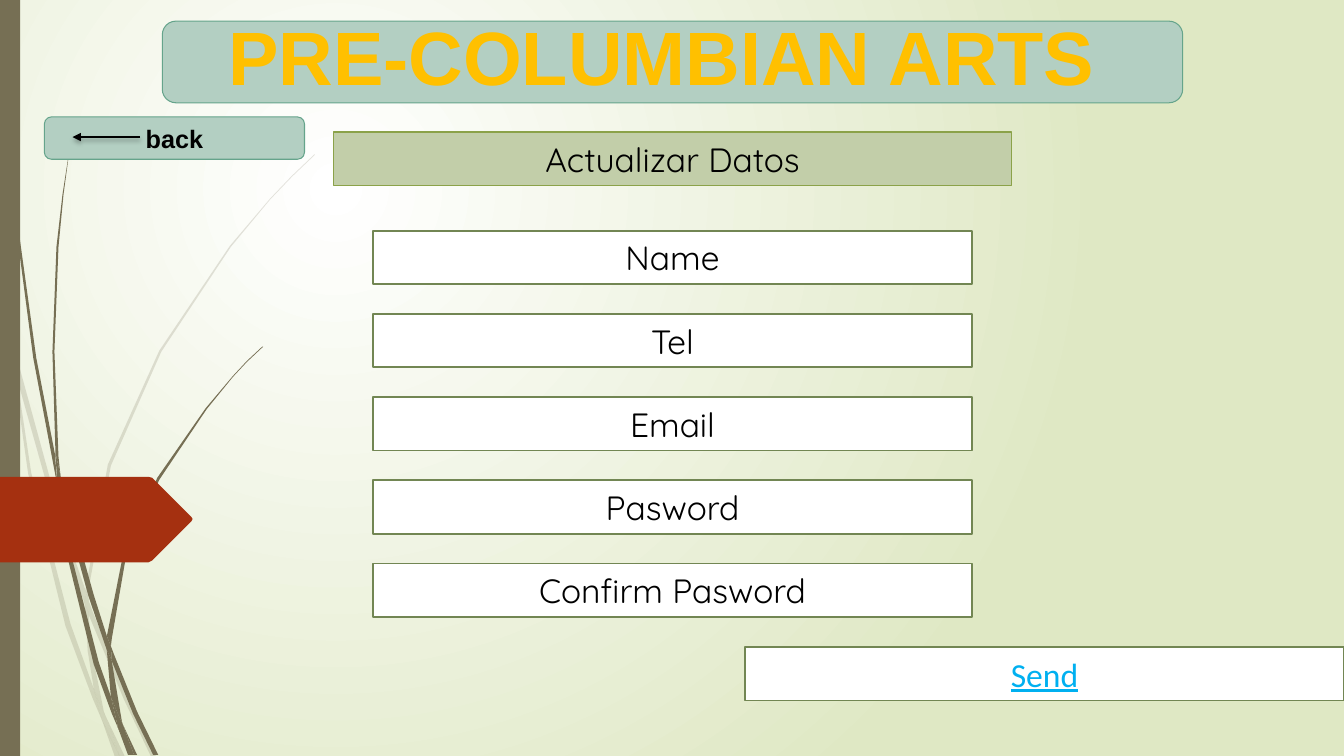
from lxml.etree import SubElement as Sub
from pptx import Presentation
from pptx.dml.color import RGBColor as RGB
from pptx.enum.shapes import MSO_CONNECTOR as LINK, MSO_SHAPE as SHAPE
from pptx.enum.text import MSO_ANCHOR as ANCHOR, PP_ALIGN as ALIGN
from pptx.oxml.ns import qn
from pptx.util import Inches, Pt

WHITE = RGB(0xFF, 0xFF, 0xFF)
BLACK = RGB(0, 0, 0)
PALE = RGB(0xDF, 0xE8, 0xC4)
BROWN = RGB(0x76, 0x6F, 0x54)
RUST = RGB(0xA5, 0x30, 0x10)
MINT = RGB(0xB3, 0xCF, 0xC2)
TEAL = RGB(0x65, 0xA4, 0x8B)
SAGE = RGB(0xC2, 0xCE, 0xA9)
OLIVE = RGB(0x8B, 0xA2, 0x49)
MOSS = RGB(0x72, 0x86, 0x53)
GOLD = RGB(0xFF, 0xC0, 0x00)
SKY = RGB(0x00, 0xB0, 0xF0)

FAINT = [
    [(.11, 3.5), (.09, 3.22), (0, 2.82), (0, 2.99), (.1, 3.44)],
    [(.58, 5.22), (.84, 5.99), (.85, 5.86), (.62, 5.2), (.14, 3.45),
     (.17, 3.76)],
    [(.92, 6.07), (.88, 5.96), (.88, 6.1), (1.23, 6.94), (1.5, 7.51),
     (1.55, 7.51), (1.27, 6.92)],
    [(1.19, 7.51), (1.24, 7.51), (1.05, 7.11)],
    [(.93, 6.83), (.7, 6.19), (.31, 4.69), (.17, 3.76), (.11, 3.5),
     (.28, 4.7), (.65, 6.21), (.92, 6.93), (1.01, 7.14), (.99, 7.07)],
    [(.84, 5.99), (.87, 6.46), (.93, 6.83), (.96, 6.92), (1.05, 7.11),
     (1.03, 7.06), (.91, 6.46), (.88, 6.1), (.88, 6.08)],
    [(.88, 5.84), (1.1, 4.62), (1.6, 3.49), (2.29, 2.45), (2.68, 1.98),
     (2.9, 1.75), (3.12, 1.54), (3.12, 1.53), (2.89, 1.75), (2.68, 1.97),
     (2.28, 2.44), (1.58, 3.48), (1.07, 4.61), (.85, 5.84), (.85, 5.86),
     (.88, 5.96)],
    [(1.01, 7.14), (1.14, 7.51), (1.19, 7.51)],
    [(.88, 6.08), (.88, 6.1), (.88, 5.96), (.85, 5.86), (.84, 5.99)],
    [(.96, 6.92), (.93, 6.83), (.99, 7.07), (1.01, 7.14), (1.19, 7.51),
     (1.05, 7.11)],
]
DARK = [
    [(.07, 1.1), (.17, 2.33), (.33, 3.55), (.56, 4.77), (.57, 4.81),
     (.55, 4.57), (.55, 4.53), (.36, 3.55), (.19, 2.32), (.08, 1.09),
     (.05, .48), (.04, 0), (.03, 0), (.04, .48)],
    [(.88, 5.92), (1.06, 6.45), (1.06, 6.33), (1.06, 6.31), (.93, 5.9),
     (.6, 4.72), (.64, 5.05)],
    [(1.13, 6.49), (1.1, 6.41), (1.11, 6.56), (1.32, 7.08), (1.52, 7.49),
     (1.57, 7.49), (1.36, 7.06)],
    [(1.1, 6.91), (.98, 6.57), (.72, 5.56), (.64, 5.05), (.57, 4.77),
     (.68, 5.57), (.93, 6.59), (1.11, 7.08), (1.17, 7.22), (1.16, 7.17)],
    [(.6, 4.72), (.58, 4.53), (.54, 3.49), (.58, 2.45), (.63, 1.93),
     (.7, 1.41), (.62, 1.93), (.56, 2.45), (.52, 3.49), (.55, 4.49)],
    [(1.33, 7.49), (1.36, 7.49), (1.22, 7.19)],
    [(.57, 4.77), (.64, 5.05), (.6, 4.72), (.55, 4.49), (.55, 4.53)],
    [(1.11, 6.33), (1.25, 5.52), (1.58, 4.76), (2.05, 4.06), (2.31, 3.74),
     (2.45, 3.59), (2.61, 3.44), (2.6, 3.44), (2.45, 3.58), (2.31, 3.73),
     (2.04, 4.05), (1.56, 4.74), (1.22, 5.51), (1.06, 6.31), (1.1, 6.41)],
    [(1.17, 7.22), (1.27, 7.49), (1.31, 7.49)],
    [(1.06, 6.45), (1.1, 6.91), (1.16, 7.06), (1.22, 7.19), (1.21, 7.16),
     (1.11, 6.56), (1.09, 6.51)],
    [(1.06, 6.45), (1.09, 6.51), (1.11, 6.56), (1.1, 6.41), (1.06, 6.31)],
    [(1.16, 7.06), (1.1, 6.91), (1.16, 7.17), (1.17, 7.22), (1.3, 7.49),
     (1.33, 7.49), (1.22, 7.19)],
]
TAB = [(0, 0), (1.47, 0), (1.51, .01), (1.9, .4), (1.91, .42), (1.9, .44),
       (1.51, .83), (1.47, .85), (0, .85)]
FIELDS = ["Name", "Tel", "Email", "Pasword", "Confirm Pasword"]


def paint(shape, fill, line=None, width=0.75):
    shape.shadow.inherit = False
    shape.fill.solid()
    shape.fill.fore_color.rgb = fill
    if line is None:
        shape.line.fill.background()
    else:
        shape.line.color.rgb = line
        shape.line.width = Pt(width)


def write(shape, text, size, font, color, bold=False, under=False):
    frame = shape.text_frame
    frame.word_wrap = True
    frame.vertical_anchor = ANCHOR.MIDDLE
    para = frame.paragraphs[0]
    para.alignment = ALIGN.CENTER
    run = para.add_run()
    run.text = text
    run.font.size = Pt(size)
    run.font.name = font
    run.font.color.rgb = color
    run.font.bold = bold
    run.font.underline = under
    return frame


def panel(slide, box, fill, line=None, width=0.75, kind=SHAPE.RECTANGLE):
    shape = slide.shapes.add_shape(kind, *map(Inches, box))
    paint(shape, fill, line, width)
    return shape


def outline(slide, left, top, points, fill, alpha=None):
    spots = [(Inches(left + x), Inches(top + y)) for x, y in points]
    form = slide.shapes.build_freeform(*spots[0], scale=1.0)
    form.add_line_segments(spots[1:], close=True)
    shape = form.convert_to_shape()
    paint(shape, fill)
    if alpha:
        tint = shape.fill._xPr.find(".//" + qn("a:srgbClr"))
        Sub(tint, qn("a:alpha"), val=str(alpha * 1000))


def backdrop(slide):
    fill = slide.background.fill
    fill.gradient()
    for stop, color in zip(fill.gradient_stops, (WHITE, PALE)):
        stop.color.rgb = color
    grad = slide.element.find(".//" + qn("a:gradFill"))
    grad.remove(grad.find(qn("a:lin")))
    way = Sub(grad, qn("a:path"), path="circle")
    Sub(way, qn("a:fillToRect"), l="50000", t="50000", r="100000", b="100000")


def margin(slide, left, top, high):
    for blade in FAINT:
        outline(slide, left, top, blade, BROWN, 20)
    for blade in DARK:
        outline(slide, left, top, blade, BROWN)
    panel(slide, (left, top, 0.2, high), BROWN)
    outline(slide, left, top + 4.73, TAB, RUST)


def banner(slide, left, top, wide, high):
    panel(slide, (left, top, wide, high), MINT, TEAL,
          kind=SHAPE.ROUNDED_RECTANGLE)
    area = (left + 0.21, top + 0.12, wide - 0.43, high - 0.13)
    title = slide.shapes.add_textbox(*map(Inches, area))
    frame = write(title, "PRE-COLUMBIAN ARTS ", 54, "Arial", GOLD, bold=True)
    frame.vertical_anchor = ANCHOR.BOTTOM
    frame.margin_bottom = 0
    frame.paragraphs[0].line_spacing = 0.9


def button(slide, left, top, wide, high):
    shape = panel(slide, (left, top, wide, high), MINT, TEAL,
                  kind=SHAPE.ROUNDED_RECTANGLE)
    write(shape, "back", 18, "Arial", BLACK, bold=True)
    level = Inches(top + 0.2)
    arrow = slide.shapes.add_connector(
        LINK.STRAIGHT, Inches(left + 0.95), level, Inches(left + 0.28), level)
    arrow.line.color.rgb = BLACK
    arrow.line.width = Pt(1.75)
    Sub(arrow.line._get_or_add_ln(), qn("a:tailEnd"), type="triangle")
    glow = Sub(arrow.element.spPr, qn("a:effectLst"))
    shade = Sub(glow, qn("a:outerShdw"), blurRad=str(Pt(3)), dist=str(Pt(2)),
                dir="5400000", rotWithShape="0")
    tint = Sub(shade, qn("a:srgbClr"), val="000000")
    Sub(tint, qn("a:alpha"), val="25000")


def form(slide, left, top, wide):
    high, pitch = 0.53, 3.3 / 4
    head = panel(slide, (left, top, wide, high), SAGE, OLIVE)
    write(head, "Actualizar Datos", 24, "Quicksand", BLACK)
    inset = 0.39
    for row, label in enumerate(FIELDS):
        box = (left + inset, top + 0.98 + row * pitch, wide - 2 * inset, high)
        field = panel(slide, box, WHITE, MOSS, 1.25)
        write(field, label, 24, "Quicksand", BLACK)


def send(slide, left, top, wide, high):
    shape = panel(slide, (left, top, wide, high), WHITE, MOSS, 1.25)
    write(shape, "Send", 24, "Calibri", SKY, under=True)


def main():
    deck = Presentation()
    deck.slide_width, deck.slide_height = Inches(13.33), Inches(7.5)
    slide = deck.slides.add_slide(deck.slide_layouts[6])
    backdrop(slide)
    margin(slide, 0, 0, 7.5)
    banner(slide, 1.61, 0.21, 10.12, 0.81)
    form(slide, 3.31, 1.31, 6.72)
    send(slide, 7.39, 6.42, 5.94, 0.53)
    button(slide, 0.44, 1.16, 2.58, 0.42)
    deck.save("out.pptx")


if __name__ == "__main__":
    main()
